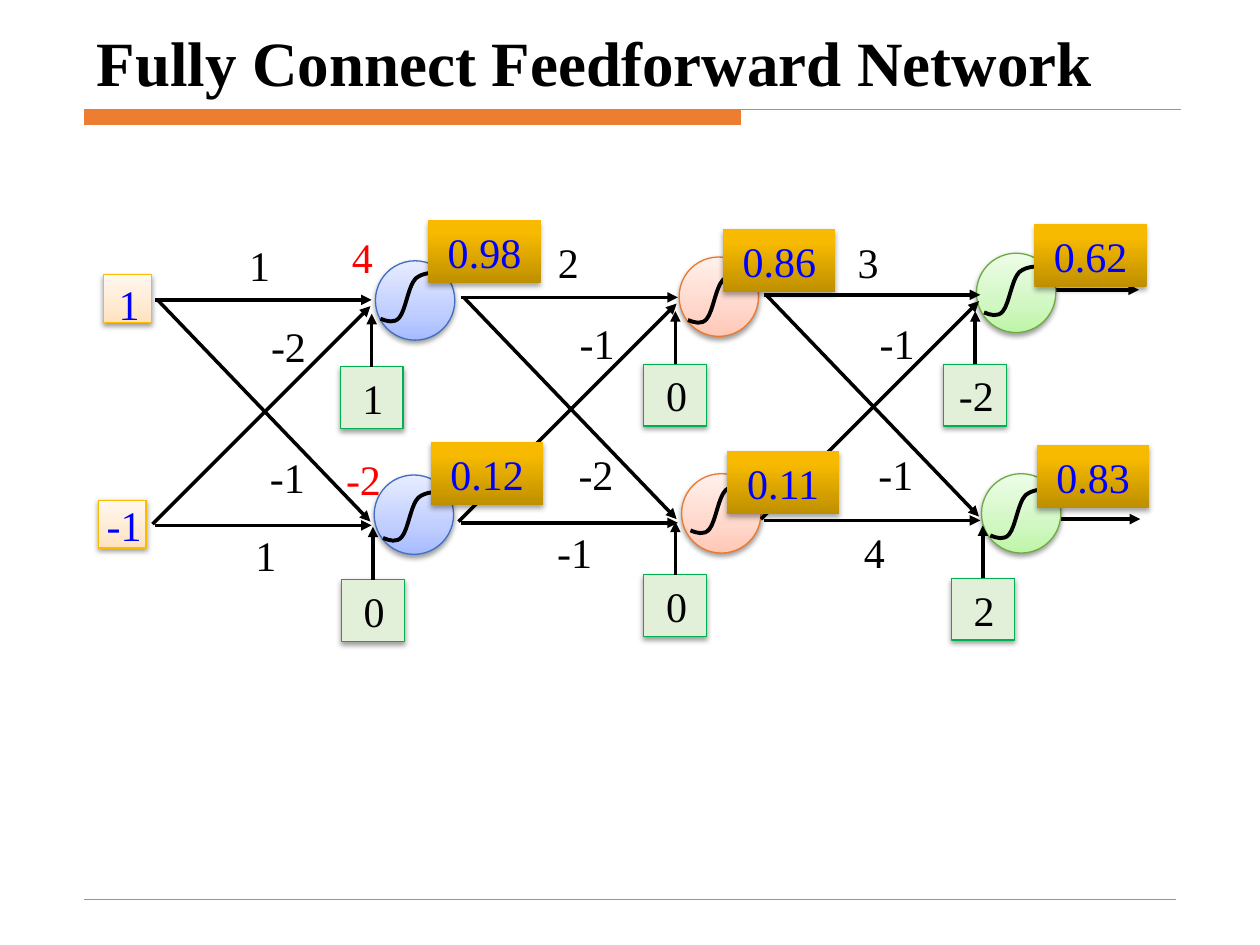
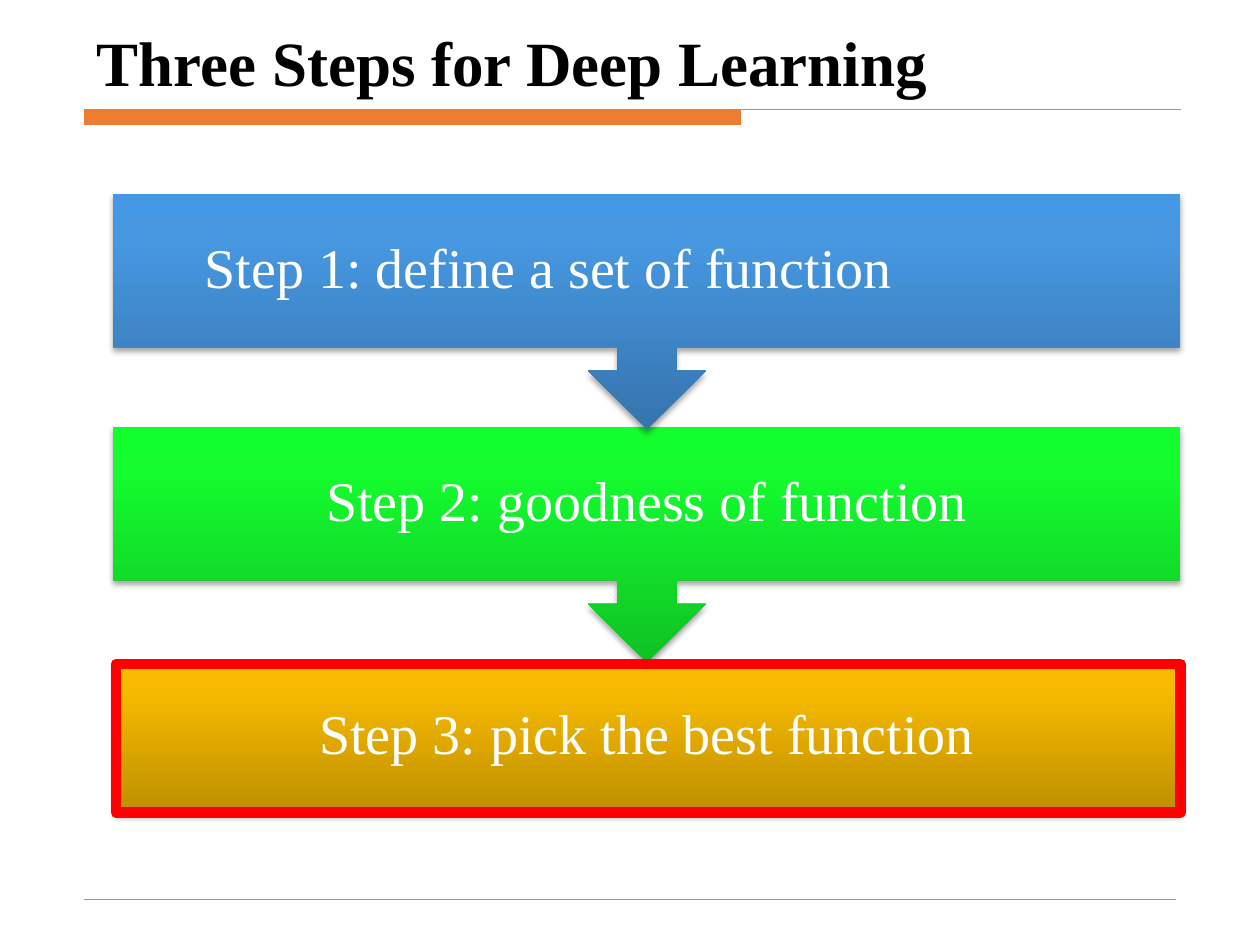
import dataclasses

import lxml.etree
import pptx
import pptx.dml.color
import pptx.enum.shapes
import pptx.enum.text
import pptx.oxml.ns
import pptx.util

Inches = pptx.util.Inches
Pt = pptx.util.Pt
SHAPE = pptx.enum.shapes.MSO_SHAPE
STRAIGHT = pptx.enum.shapes.MSO_CONNECTOR.STRAIGHT
ALIGN = pptx.enum.text.PP_ALIGN
ANCHOR = pptx.enum.text.MSO_ANCHOR
rgb = pptx.dml.color.RGBColor.from_string
qn = pptx.oxml.ns.qn
SubElement = lxml.etree.SubElement


@dataclasses.dataclass(frozen=True)
class Theme:
    font: str = "Times New Roman"
    title_size: int = 36
    step_size: int = 32
    label_size: int = 24
    black: str = "000000"
    white: str = "FFFFFF"
    red: str = "FF0000"
    value: str = "0000FF"
    accent: str = "ED7D31"
    bias_fill: str = "E2F0D9"
    bias_line: str = "00B050"
    input_line: str = "F9BC00"
    input_fill: tuple = ((0, "FFE2BD"), (35, "FFEAD1"), (100, "FFF7EE"))
    blue: tuple = ((0, "A6BBFF"), (35, "C0CEFF"), (100, "E7ECFF"))
    orange: tuple = ((0, "FFC7B6"), (35, "FFD7CB"), (100, "FFF0EB"))
    green: tuple = ((0, "BEF5A7"), (35, "D1F7C2"), (100, "EDFDE7"))
    gold: tuple = ((0, "BE8F00"), (80, "F7BA00"), (100, "F8BB00"))
    lime: tuple = ((0, "0FC124"), (80, "14FB2E"), (100, "11FF2C"))
    azure: tuple = ((0, "3674AD"), (80, "4697E0"), (100, "4498E4"))


theme = Theme()


def add_text(shape, text, *, size=theme.label_size, color=theme.black, bold=False,
             align=ALIGN.CENTER, anchor=ANCHOR.MIDDLE, margins=(0, 0, 0, 0),
             wrap=False, line_spacing=None):
    frame = shape.text_frame
    frame.word_wrap = wrap
    frame.vertical_anchor = anchor
    (frame.margin_left, frame.margin_top,
     frame.margin_right, frame.margin_bottom) = map(Inches, margins)
    paragraph = frame.paragraphs[0]
    paragraph.alignment = align
    paragraph.line_spacing = line_spacing
    run = paragraph.add_run()
    run.text = text
    run.font.name = theme.font
    run.font.size = Pt(size)
    run.font.bold = bold
    run.font.color.rgb = rgb(color)


def add_block(slide, kind, box, fill=None, line=None, line_width=0.75, shadow=None):
    shape = slide.shapes.add_shape(kind, *map(Inches, box))
    properties = shape.element.spPr
    if isinstance(fill, str):
        shape.fill.solid()
        shape.fill.fore_color.rgb = rgb(fill)
    else:
        shape.fill.background()
    if isinstance(fill, tuple):
        gradient = lxml.etree.Element(qn("a:gradFill"), rotWithShape="1")
        stops = SubElement(gradient, qn("a:gsLst"))
        for position, color in fill:
            stop = SubElement(stops, qn("a:gs"), pos=str(position * 1000))
            SubElement(stop, qn("a:srgbClr"), val=color)
        SubElement(gradient, qn("a:lin"), ang=str(270 * 60000), scaled="0")
        properties.replace(properties.find(qn("a:noFill")), gradient)
    if line:
        shape.line.color.rgb = rgb(line)
        shape.line.width = Pt(line_width)
    else:
        shape.line.fill.background()
    shape.shadow.inherit = False
    if shadow:
        distance, opacity = shadow
        outer = SubElement(properties.find(qn("a:effectLst")), qn("a:outerShdw"),
                           blurRad=str(Pt(3.1)), dist=str(Pt(distance)),
                           dir=str(90 * 60000), rotWithShape="0")
        color = SubElement(outer, qn("a:srgbClr"), val=theme.black)
        SubElement(color, qn("a:alpha"), val=str(opacity * 1000))
    return shape


SOFT_SHADOW = (1.6, 38)
DEEP_SHADOW = (1.8, 35)

presentation = pptx.Presentation()
presentation.slide_width = Inches(10)
presentation.slide_height = Inches(7.5)
blank_layout = presentation.slide_layouts[6]

slides = []
footer_rules = []
arrows = []

for title in ("Fully Connect Feedforward Network", "Three Steps for Deep Learning"):
    slide = presentation.slides.add_slide(blank_layout)
    slides.append(slide)
    left, top, bar_right, bar_bottom, rule_right = map(Inches, (0.67, 0.87, 5.88, 0.99, 9.37))
    builder = slide.shapes.build_freeform(left, top)
    builder.add_line_segments(
        [(bar_right, top), (bar_right, bar_bottom), (left, bar_bottom)], close=True)
    builder.move_to(left, top)
    builder.add_line_segments([(rule_right, top)], close=False)
    band = builder.convert_to_shape()
    band.fill.solid()
    band.fill.fore_color.rgb = rgb(theme.accent)
    band.line.color.rgb = rgb(theme.accent)
    band.line.width = Pt(0.75)
    band.shadow.inherit = False
    footer_ends = map(Inches, (0.67, 7.14, 9.33, 7.14))
    footer_rules.append(slide.shapes.add_connector(STRAIGHT, *footer_ends))
    title_box = slide.shapes.add_textbox(*map(Inches, (0.67, 0.21, 8.74, 0.63)))
    add_text(title_box, title, size=theme.title_size, bold=True, align=ALIGN.LEFT,
             anchor=ANCHOR.BOTTOM, margins=(0.1, 0.05, 0.1, 0.05), wrap=True)

network, steps = slides

for ends in ((8.33, 4.12, 9.05, 4.12), (8.33, 2.3, 9.04, 2.3)):
    arrows.append(network.shapes.add_connector(STRAIGHT, *map(Inches, ends)))

neurons = (
    (2.98, 2.07, theme.blue, "3F6FC3"),
    (2.97, 3.77, theme.blue, "3F6FC3"),
    (5.39, 2.04, theme.orange, "EC792B"),
    (5.41, 3.76, theme.orange, "EC792B"),
    (7.75, 2.01, theme.green, "6DAC43"),
    (7.79, 3.76, theme.green, "6DAC43"),
)
for left, top, fill, line in neurons:
    add_block(network, SHAPE.OVAL, (left, top, 0.63, 0.63), fill, line, shadow=SOFT_SHADOW)

layer_links = (
    (0, 1.78, 1.73, 0.05),
    (0.04, 0, 1.73, 1.76),
    (0.02, 1.79, 1.74, 1.79),
    (0.02, 0, 1.74, 0),
)
for left, top in ((1.21, 2.38), (3.64, 2.36), (6.04, 2.34)):
    for x1, y1, x2, y2 in layer_links:
        ends = (left + x1, top + y1, left + x2, top + y2)
        arrows.append(network.shapes.add_connector(STRAIGHT, *map(Inches, ends)))

sigmoid_points = (
    (0.51, 0.01),
    (0.43, 0), (0.34, 0), (0.28, 0.05),
    (0.22, 0.11), (0.2, 0.3), (0.15, 0.36),
    (0.11, 0.41), (0.05, 0.39), (0, 0.37),
)
for left, top in ((3.04, 3.9), (3.02, 2.16), (5.46, 2.17),
                  (5.48, 3.84), (7.81, 2.11), (7.86, 3.88)):
    points = [(Inches(left + x), Inches(top + y)) for x, y in sigmoid_points]
    builder = network.shapes.build_freeform(*points[0])
    builder.add_line_segments(points[1:], close=False)
    sigmoid = builder.convert_to_shape()
    sigmoid.fill.background()
    sigmoid.line.color.rgb = rgb(theme.black)
    sigmoid.line.width = Pt(2.25)
    sigmoid.shadow.inherit = False
    outline = next(sigmoid.element.iter(qn("a:path")))
    segments = outline.findall(qn("a:lnTo"))
    for start in range(0, len(segments), 3):
        curve = SubElement(outline, qn("a:cubicBezTo"))
        for segment in segments[start:start + 3]:
            curve.append(segment[0])
            outline.remove(segment)

label_slots = ((0, 0, 0.38), (0.18, 0.64, 0.48), (-0.15, 2.3, 0.78), (0.02, 1.68, 0.78))
layer_weights = (
    (1.87, 1.85, ("1", "-2", "1", "-1")),
    (4.32, 1.83, ("2", "-1", "-1", "-2")),
    (6.7, 1.83, ("3", "-1", "4", "-1")),
)
labels = [(left + x, top + y, width, text, theme.black)
          for left, top, texts in layer_weights
          for (x, y, width), text in zip(label_slots, texts)]
labels += [(2.64, 1.79, 0.47, "4", theme.red), (2.51, 3.55, 0.75, "-2", theme.red)]
for left, top, width, text, color in labels:
    label_box = network.shapes.add_textbox(*map(Inches, (left, top, width, 0.5)))
    add_text(label_box, text, color=color)

biases = ((2.7, 2.91, "1"), (2.71, 4.6, "0"), (5.11, 2.89, "0"),
          (5.11, 4.56, "0"), (7.49, 2.89, "-2"), (7.55, 4.59, "2"))
for left, top, text in biases:
    bias = add_block(network, SHAPE.RECTANGLE, (left, top, 0.5, 0.49),
                     theme.bias_fill, theme.bias_line, shadow=SOFT_SHADOW)
    add_text(bias, text, margins=(0.02, 0, 0, 0))
    ends = (left + 0.25, top, left + 0.25, top - 0.42)
    arrows.append(network.shapes.add_connector(STRAIGHT, *map(Inches, ends)))

activations = ((3.4, 1.75, "0.98"), (3.42, 3.51, "0.12"), (5.74, 1.82, "0.86"),
               (5.77, 3.58, "0.11"), (8.21, 1.78, "0.62"), (8.23, 3.53, "0.83"))
for left, top, text in activations:
    activation = add_block(network, SHAPE.RECTANGLE, (left, top, 0.89, 0.5),
                           theme.gold, shadow=DEEP_SHADOW)
    add_text(activation, text, color=theme.value)

for left, top, text, drop in ((0.82, 2.18, "1", 0.08), (0.78, 3.97, "-1", 0)):
    input_box = add_block(network, SHAPE.RECTANGLE, (left, top, 0.38, 0.38),
                          theme.input_fill, theme.input_line, shadow=SOFT_SHADOW)
    add_text(input_box, text, color=theme.value, margins=(0.03, drop, 0, 0))

step_blocks = (
    (SHAPE.RECTANGLE, 5.24, 1.21, theme.gold, "Step 3: pick the best function", 0.25),
    (SHAPE.DOWN_ARROW_CALLOUT, 3.39, 1.87, theme.lime, "Step 2: goodness of function", 0.25),
    (SHAPE.DOWN_ARROW_CALLOUT, 1.54, 1.87, theme.azure, "Step 1: define a set of function", 1.81),
)
for kind, top, height, fill, text, right_margin in step_blocks:
    step = add_block(steps, kind, (0.9, top, 8.47, height), fill, shadow=DEEP_SHADOW)
    add_text(step, text, size=theme.step_size, color=theme.white, wrap=True,
             margins=(0.25, 0.25, right_margin, 0.25), line_spacing=0.9)
add_block(steps, SHAPE.RECTANGLE, (0.92, 5.27, 8.45, 1.18), line=theme.red, line_width=6)

connectors = [(rule, theme.accent, 0.25, "none") for rule in footer_rules]
connectors += [(arrow, theme.black, 2, "triangle") for arrow in arrows]
for connector, color, width, arrowhead in connectors:
    connector.line.color.rgb = rgb(color)
    connector.line.width = Pt(width)
    properties = connector.element.spPr
    SubElement(properties.find(qn("a:ln")), qn("a:tailEnd"), type=arrowhead)
    SubElement(properties, qn("a:effectLst"))
    connector.element.remove(connector.element.find(qn("p:style")))

presentation.save("out.pptx")
